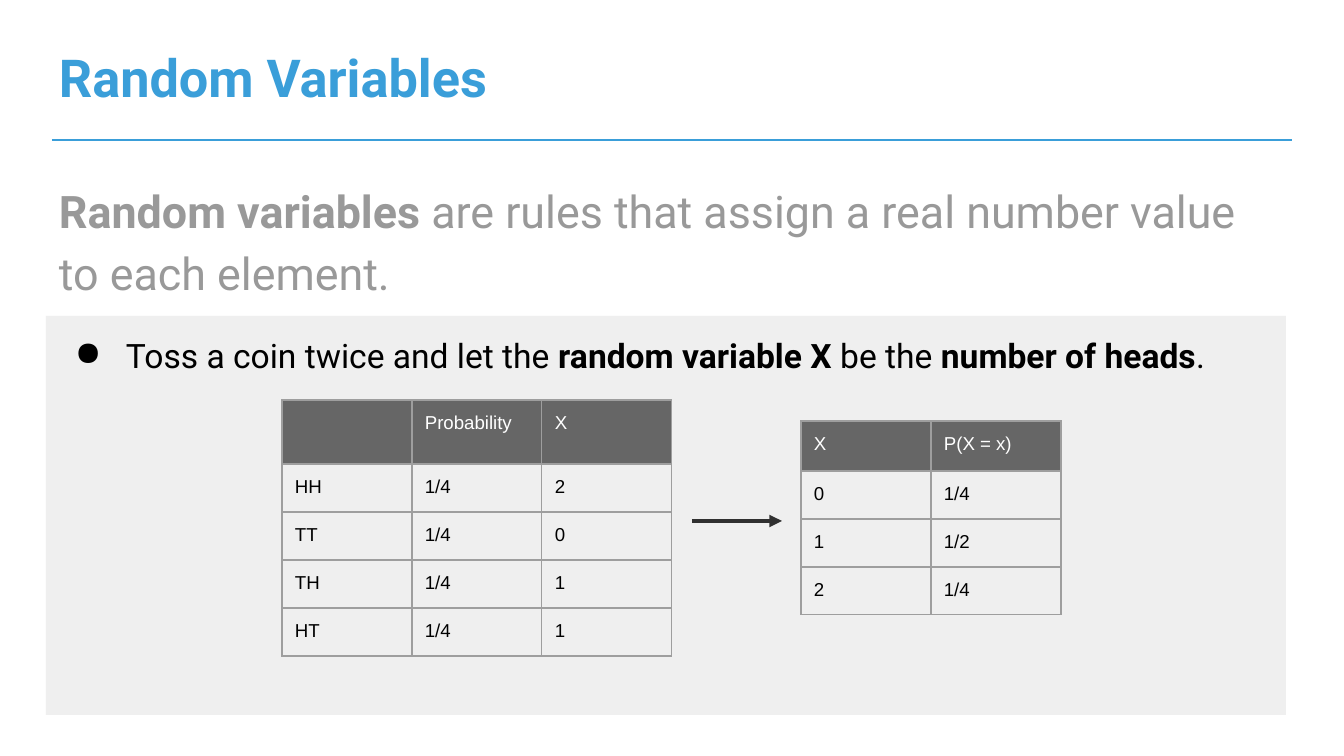
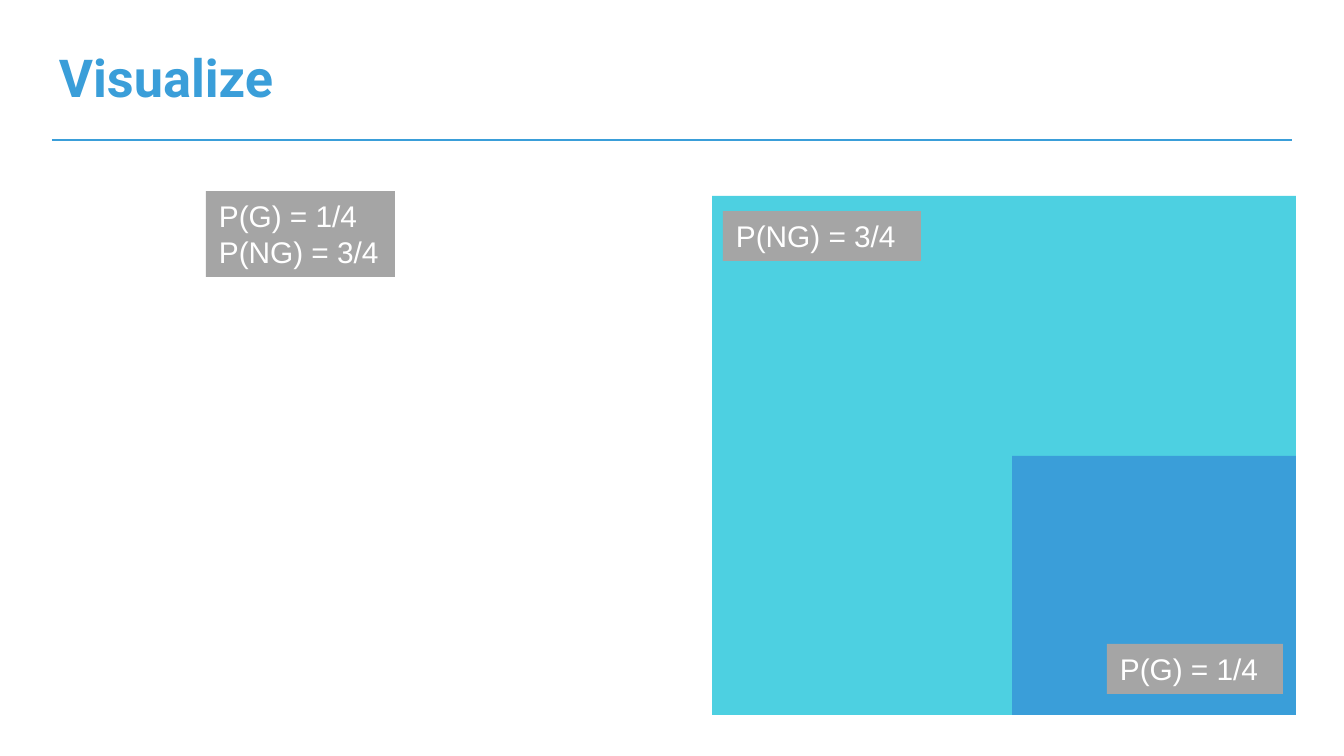
from lxml.etree import SubElement
from pptx import Presentation
from pptx.dml.color import RGBColor
from pptx.enum.shapes import MSO_CONNECTOR, MSO_SHAPE
from pptx.enum.text import MSO_ANCHOR, MSO_AUTO_SIZE, PP_ALIGN
from pptx.oxml.ns import qn
from pptx.util import Emu, Inches, Pt

SLIDE_WIDTH, SLIDE_HEIGHT = 1344, 756
SCALE = Inches(10) / SLIDE_WIDTH
INSET, SLIM_INSET = 13, 7
HEADING_FONT, LABEL_FONT = "Roboto", "Arial"
BLUE, CYAN = "3A9ED9", "4DD0E1"
WHITE, BLACK, ARROW_GREY = "FFFFFF", "000000", "303030"
PANEL_GREY, LABEL_GREY, HEADER_GREY = "EFEFEF", "A5A5A5", "666666"
BODY_GREY, BORDER_GREY = "999999", "9E9E9E"
TITLE_ONLY, TITLE_AND_BODY = 5, 1


def px(length):
    return Emu(round(length * SCALE))


def rgb(color):
    return RGBColor.from_string(color)


def set_insets(target, across, down):
    target.margin_left = target.margin_right = px(across)
    target.margin_top = target.margin_bottom = px(down)


def write(frame, text, size=16, font=LABEL_FONT, color=WHITE, line_spacing=1.0):
    """Write one paragraph per line; text between asterisks is bold."""
    for index, line in enumerate(text.split("\n")):
        paragraph = frame.add_paragraph() if index else frame.paragraphs[0]
        paragraph.alignment = PP_ALIGN.LEFT
        paragraph.line_spacing = line_spacing
        paragraph.space_before = paragraph.space_after = Pt(0)
        for position, part in enumerate(line.split("*")):
            if part:
                run = paragraph.add_run()
                run.text = part
                run.font.size = Pt(size)
                run.font.name = font
                run.font.bold = position % 2 == 1
                run.font.color.rgb = rgb(color)


def set_bullet(paragraph, margin, indent, symbol=None, color=BLACK):
    properties = paragraph._p.get_or_add_pPr()
    properties.set("marL", str(px(margin)))
    properties.set("indent", str(px(indent)))
    if symbol is None:
        SubElement(properties, qn("a:buNone"))
        return
    bullet_color = SubElement(properties, qn("a:buClr"))
    SubElement(bullet_color, qn("a:srgbClr"), val=color)
    SubElement(properties, qn("a:buChar"), char=symbol)


def fill_placeholder(placeholder, left, top, width, height, text, **text_format):
    placeholder.left, placeholder.top = px(left), px(top)
    placeholder.width, placeholder.height = px(width), px(height)
    frame = placeholder.text_frame
    frame.word_wrap = True
    frame.auto_size = MSO_AUTO_SIZE.NONE
    frame.vertical_anchor = MSO_ANCHOR.TOP
    set_insets(frame, INSET, INSET)
    write(frame, text, font=HEADING_FONT, **text_format)
    set_bullet(frame.paragraphs[0], 0, 0)


def add_line(slide, start, end, color, weight, arrow=False):
    line = slide.shapes.add_connector(
        MSO_CONNECTOR.STRAIGHT, *map(px, start), *map(px, end))
    line.line.color.rgb = rgb(color)
    line.line.width = Pt(weight)
    if arrow:
        SubElement(line.line._get_or_add_ln(), qn("a:tailEnd"), type="triangle")
    SubElement(line._element.spPr, qn("a:effectLst"))


def add_block(shapes, left, top, width, height, color, inset=SLIM_INSET):
    block = shapes.add_shape(
        MSO_SHAPE.RECTANGLE, px(left), px(top), px(width), px(height))
    block.shadow.inherit = False
    block.fill.solid()
    block.fill.fore_color.rgb = rgb(color)
    block.line.fill.background()
    frame = block.text_frame
    frame.word_wrap = True
    frame.vertical_anchor = MSO_ANCHOR.TOP
    set_insets(frame, INSET, inset)
    return frame


def add_label(shapes, left, top, width, height, text):
    write(add_block(shapes, left, top, width, height, LABEL_GREY), text)


def style_cell(cell, text, is_header):
    set_insets(cell, INSET, INSET)
    write(cell.text_frame, text, size=10, color=WHITE if is_header else BLACK)
    if not text:
        SubElement(cell.text_frame.paragraphs[0]._p, qn("a:endParaRPr"), sz="1000")
    properties = cell._tc.get_or_add_tcPr()
    for side in ("lnL", "lnR", "lnT", "lnB"):
        border = SubElement(properties, qn(f"a:{side}"), w=str(Pt(0.75)))
        border_fill = SubElement(border, qn("a:solidFill"))
        SubElement(border_fill, qn("a:srgbClr"), val=BORDER_GREY)
    if is_header:
        cell.fill.solid()
        cell.fill.fore_color.rgb = rgb(HEADER_GREY)
    else:
        cell.fill.background()


def add_probability_table(slide, left, top, header_height, rows,
                          column_width=130, row_height=48):
    heights = [header_height] + [row_height] * (len(rows) - 1)
    columns = len(rows[0])
    table = slide.shapes.add_table(
        len(rows), columns, px(left), px(top),
        px(columns * column_width), px(sum(heights))).table
    table.first_row = table.horz_banding = False
    for column in table.columns:
        column.width = px(column_width)
    for row_index, texts in enumerate(rows):
        table.rows[row_index].height = px(heights[row_index])
        for column_index, text in enumerate(texts):
            style_cell(table.cell(row_index, column_index), text, row_index == 0)


def add_titled_slide(deck, layout, title):
    slide = deck.slides.add_slide(deck.slide_layouts[layout])
    fill_placeholder(slide.shapes.title, 46, 32, 1206, 85, f"*{title}*",
                     size=28, color=BLUE)
    add_line(slide, (52, 140), (1292, 140), BLUE, 1.5)
    return slide


def add_random_variables(deck):
    slide = add_titled_slide(deck, TITLE_AND_BODY, "Random Variables")
    fill_placeholder(
        slide.placeholders[1], 46, 163, 1253, 145,
        "*Random variables* are rules that assign a real number value to each element.",
        size=24, color=BODY_GREY, line_spacing=1.15)
    example = add_block(slide.shapes, 46, 316, 1240, 399, PANEL_GREY, INSET)
    write(example,
          "Toss a coin twice and let the *random variable X* be the *number of heads*.",
          size=18, font=HEADING_FONT, color=BLACK, line_spacing=1.15)
    set_bullet(example.paragraphs[0], 67, -51, "●")
    add_probability_table(slide, 282, 400, 64, [
        ("", "Probability", "X"),
        ("HH", "1/4", "2"),
        ("TT", "1/4", "0"),
        ("TH", "1/4", "1"),
        ("HT", "1/4", "1"),
    ])
    add_probability_table(slide, 801, 421, 50, [
        ("X", "P(X = x)"),
        ("0", "1/4"),
        ("1", "1/2"),
        ("2", "1/4"),
    ])
    add_line(slide, (692, 521), (782, 521), ARROW_GREY, 2.25, arrow=True)


def add_visualize(deck):
    slide = add_titled_slide(deck, TITLE_ONLY, "Visualize")
    area = slide.shapes.add_group_shape().shapes
    add_block(area, 712, 196, 584, 519, CYAN)
    add_block(area, 1012, 456, 284, 259, BLUE)
    add_label(area, 723, 211, 198, 50, "P(NG) = 3/4")
    add_label(area, 1107, 644, 176, 50, "P(G) = 1/4")
    add_label(slide.shapes, 206, 191, 189, 86, "P(G) = 1/4\nP(NG) = 3/4")


def main():
    deck = Presentation()
    deck.slide_width, deck.slide_height = px(SLIDE_WIDTH), px(SLIDE_HEIGHT)
    add_random_variables(deck)
    add_visualize(deck)
    deck.save("out.pptx")


if __name__ == "__main__":
    main()
